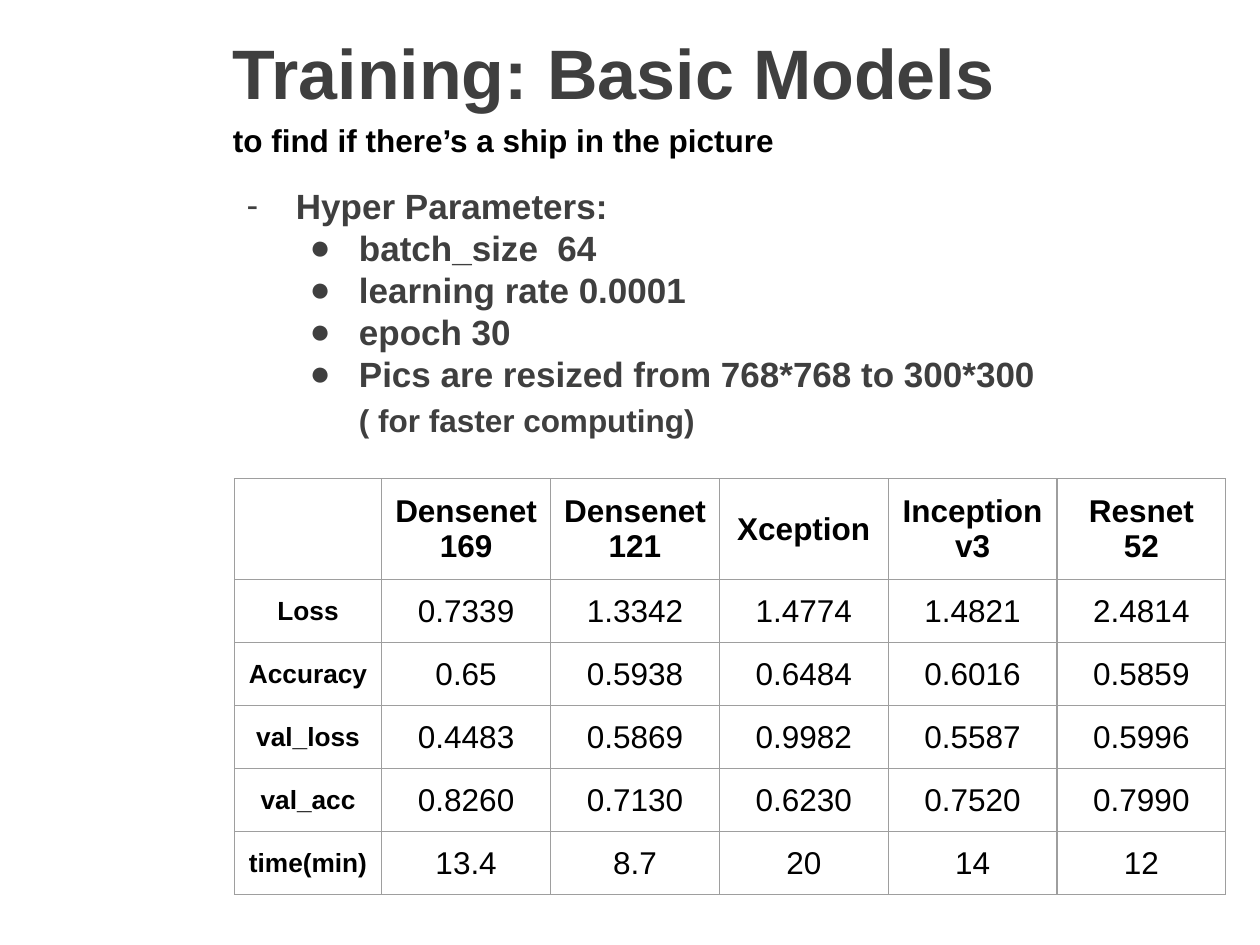
from lxml import etree
from pptx import Presentation
from pptx import util as u
from pptx.dml.color import RGBColor
from pptx.enum import text
from pptx.oxml import ns

# Layout in inches: one left edge shared by all text boxes
WIDTH, HEIGHT = 10, 7.5
LEFT = 1.75
TEXT_W = WIDTH - LEFT
FONT = "Arial"
GREY, BLACK, RULE = "3F3F3F", "000000", "9E9E9E"
MIDDLE = text.MSO_ANCHOR.MIDDLE

PARAMETERS = [
    "batch_size  64",
    "learning rate 0.0001",
    "epoch 30",
    "Pics are resized from 768*768 to 300*300",
]

RESULTS = [
    ["", "Densenet\n169", "Densenet\n121", "Xception", "Inceptionv3", "Resnet\n52"],
    ["Loss", "0.7339", "1.3342", "1.4774", "1.4821", "2.4814"],
    ["Accuracy", "0.65", "0.5938", "0.6484", "0.6016", "0.5859"],
    ["val_loss", "0.4483", "0.5869", "0.9982", "0.5587", "0.5996"],
    ["val_acc", "0.8260", "0.7130", "0.6230", "0.7520", "0.7990"],
    ["time(min)", "13.4", "8.7", "20", "14", "12"],
]


def set_attrs(obj, values):
    for name, value in values.items():
        setattr(obj, name, value)


def set_color(font, hex_color):
    font.color.rgb = RGBColor.from_string(hex_color)


def add_run(p, words, size, color, bold=True):
    r = p.add_run()
    r.text = words
    set_attrs(r.font, {"name": FONT, "size": u.Pt(size), "bold": bold})
    set_color(r.font, color)


def add_xml(parent, tag, index=None, **attrs):
    el = etree.Element(ns.qn(tag), attrs)
    parent.insert(len(parent) if index is None else index, el)
    return el


def add_text_box(s, top, height, inset=0.1, anchor=MIDDLE):
    box = s.shapes.add_textbox(*map(u.Inches, (LEFT, top, TEXT_W, height)))
    tf = box.text_frame
    set_attrs(tf, {
        "word_wrap": True, "vertical_anchor": anchor,
        "margin_left": u.Inches(0.1), "margin_right": u.Inches(0.1),
        "margin_top": u.Inches(inset), "margin_bottom": u.Inches(inset),
    })
    return tf


def format_list_item(p, level, bullet=None, before=0):
    """Indent by half an inch per level and hang the bullet, if any."""
    p.space_before = u.Pt(before)
    pPr = p._p.get_or_add_pPr()
    pPr.set("marL", str(u.Inches(0.5 * level)))
    pPr.set("indent", str(u.Inches(-0.39 if bullet else 0)))
    if bullet:
        add_xml(add_xml(pPr, "a:buClr"), "a:srgbClr", val=GREY)
        add_xml(pPr, "a:buFont", typeface=FONT)
        add_xml(pPr, "a:buChar", char=bullet)


def add_parameter_list(s):
    tf = add_text_box(s, 1.26, 2.43, inset=0.05)
    items = [("Hyper Parameters:", 20, 1, "-", 4)]
    items += [(words, 20, 2, "●", 0) for words in PARAMETERS]
    items.append(("( for faster computing)", 18, 2, None, 4))
    for i, (words, size, level, bullet, before) in enumerate(items):
        p = tf.add_paragraph() if i else tf.paragraphs[0]
        format_list_item(p, level, bullet, before)
        add_run(p, words, size, GREY)


def add_borders(cell):
    tcPr = cell._tc.get_or_add_tcPr()
    for i, side in enumerate("LRTB"):
        ln = add_xml(tcPr, f"a:ln{side}", i, w=str(u.Pt(0.75)))
        add_xml(add_xml(ln, "a:solidFill"), "a:srgbClr", val=RULE)


def fill_cell(cell, words, size, bold):
    margin = u.Inches(0.1)
    set_attrs(cell, {
        "vertical_anchor": MIDDLE, "margin_left": margin,
        "margin_right": margin, "margin_top": margin, "margin_bottom": margin,
    })
    cell.fill.background()
    add_borders(cell)
    tf = cell.text_frame
    for i, line in enumerate(words.split("\n") if words else []):
        p = tf.add_paragraph() if i else tf.paragraphs[0]
        p.alignment = text.PP_ALIGN.CENTER
        add_run(p, line, size, BLACK, bold)


def add_results_table(s):
    n_rows, n_cols = len(RESULTS), len(RESULTS[0])
    widths = [1.17] + [1.34] * (n_cols - 1)
    heights = [0.73] + [0.48] * (n_rows - 1)
    frame = s.shapes.add_table(
        n_rows, n_cols, *map(u.Inches, (1.86, 3.8, sum(widths), sum(heights))))
    table = frame.table
    set_attrs(table, {"first_row": False, "horz_banding": False})
    for column, width in zip(table.columns, widths):
        column.width = u.Inches(width)
    for row, height in zip(table.rows, heights):
        row.height = u.Inches(height)
    for i, row in enumerate(RESULTS):
        for j, words in enumerate(row):
            row_label = i > 0 and j == 0
            fill_cell(table.cell(i, j), words, 15 if row_label else 18,
                      bold=i == 0 or j == 0)


def main():
    prs = Presentation()
    set_attrs(prs, {"slide_width": u.Inches(WIDTH), "slide_height": u.Inches(HEIGHT)})
    s = prs.slides.add_slide(prs.slide_layouts[6])

    # Title and subtitle
    tf = add_text_box(s, 0, 1.13)
    add_run(tf.paragraphs[0], "Training: Basic Models", 40, GREY)
    tf = add_text_box(s, 0.86, 0.95, anchor=text.MSO_ANCHOR.TOP)
    add_run(tf.paragraphs[0], "to find if there’s a ship in the picture", 18, BLACK)

    # Training settings and results
    add_parameter_list(s)
    add_results_table(s)

    prs.save("out.pptx")


if __name__ == "__main__":
    main()
